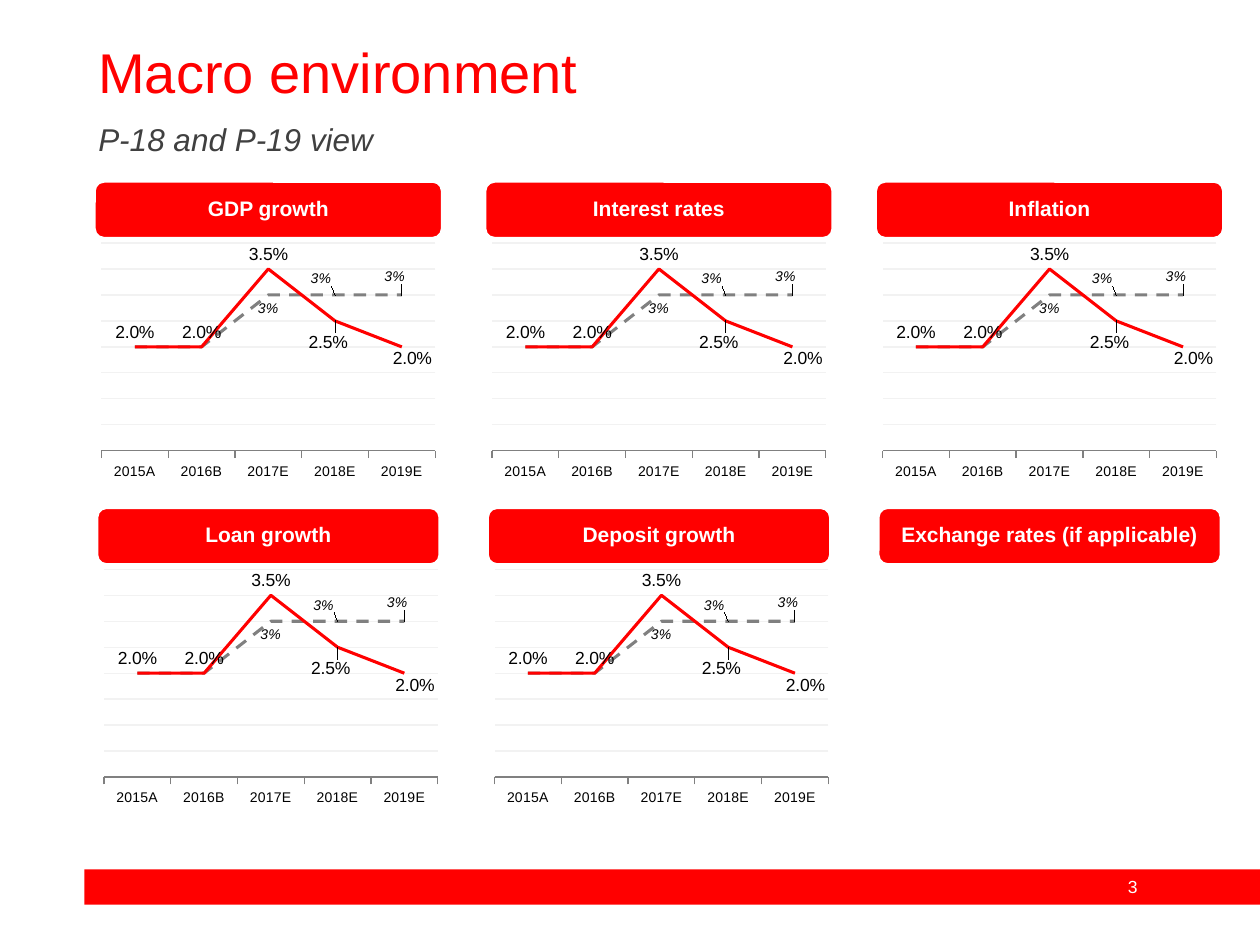
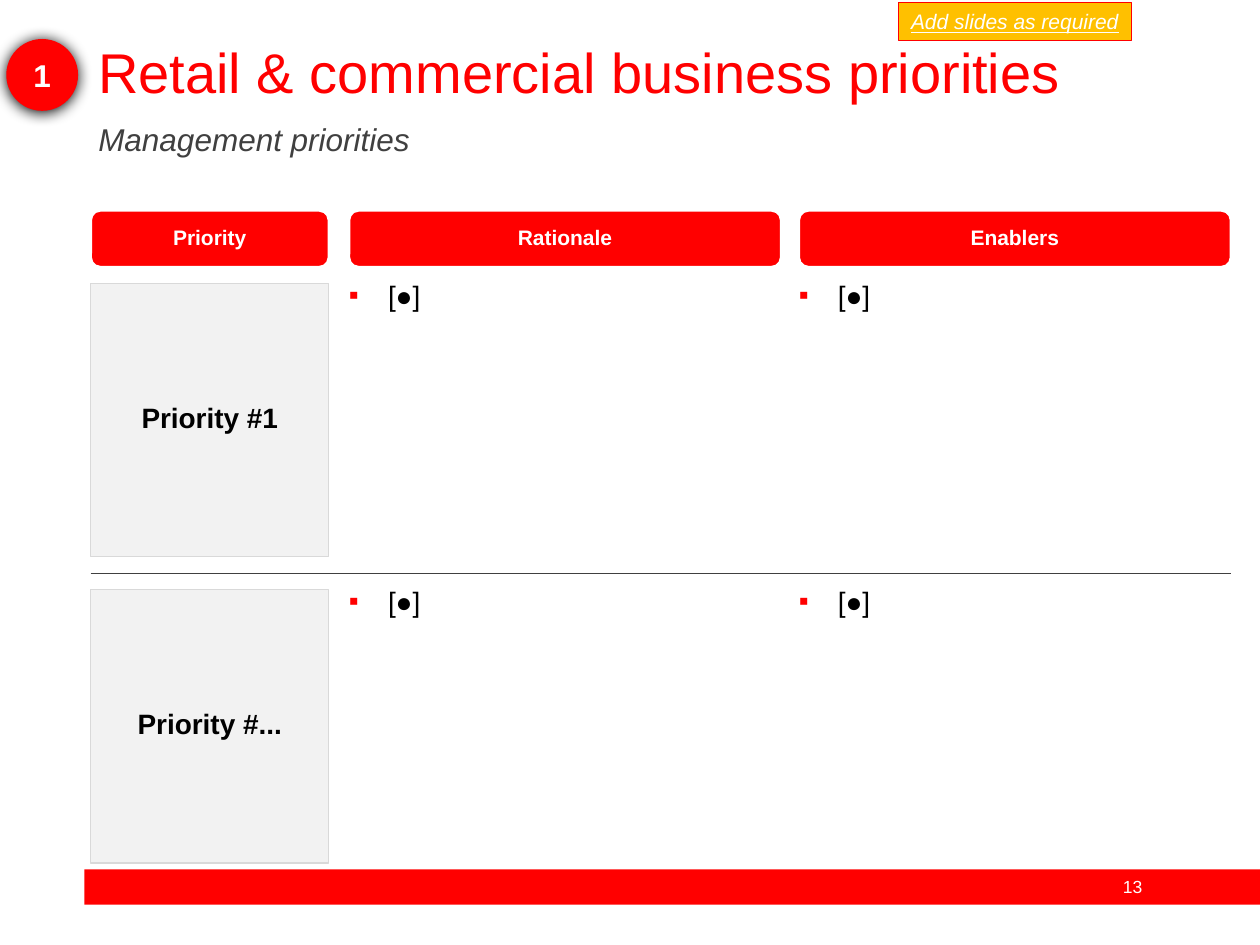
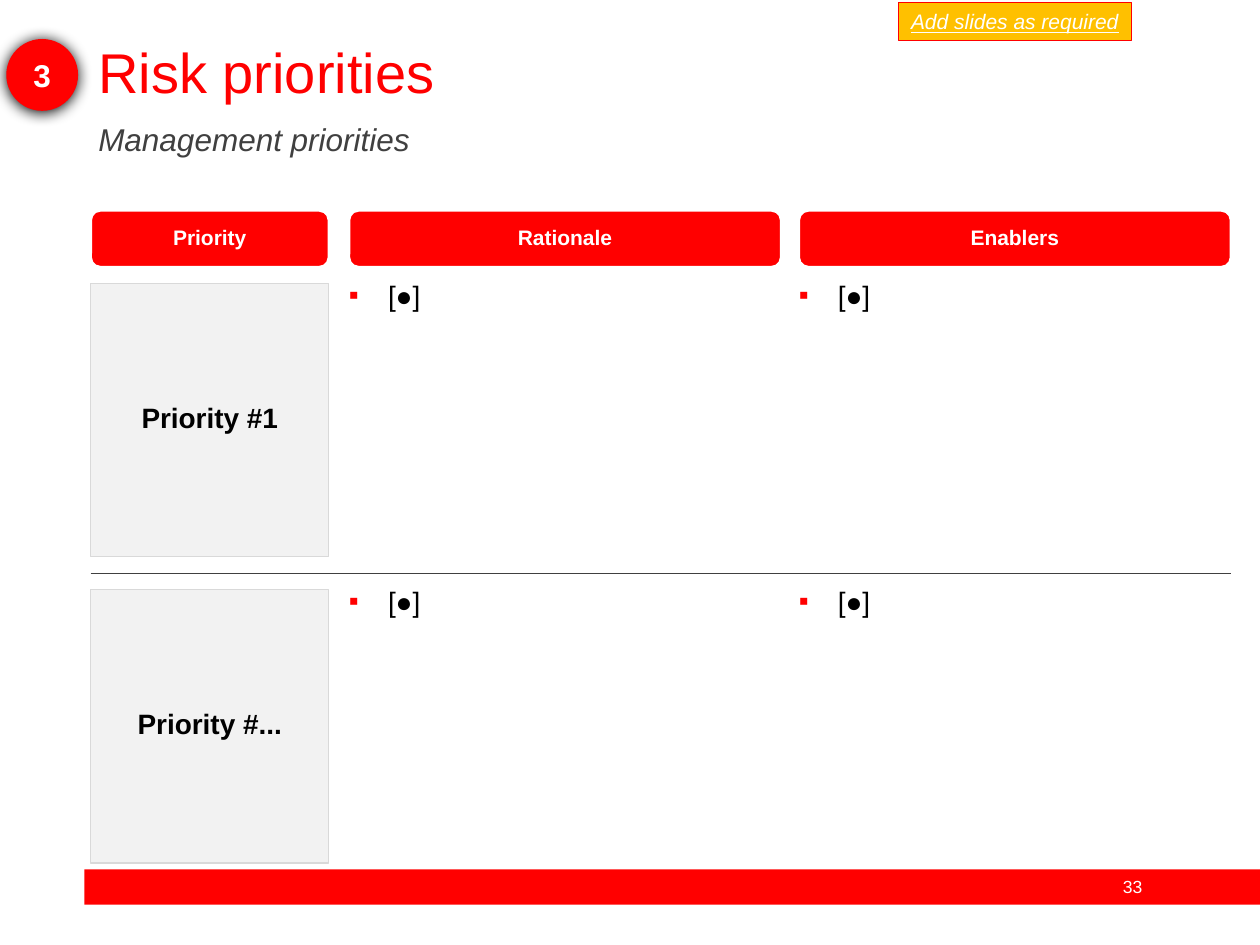
from copy import deepcopy
from dataclasses import dataclass

from lxml.etree import SubElement
from pptx import Presentation
from pptx.chart.data import CategoryChartData
from pptx.dml.color import RGBColor
from pptx.enum.chart import (
    XL_CHART_TYPE,
    XL_LABEL_POSITION,
    XL_MARKER_STYLE,
    XL_TICK_LABEL_POSITION,
    XL_TICK_MARK,
)
from pptx.enum.dml import MSO_LINE
from pptx.enum.shapes import MSO_CONNECTOR, MSO_SHAPE
from pptx.enum.text import MSO_ANCHOR, MSO_AUTO_SIZE, PP_ALIGN
from pptx.oxml.ns import qn
from pptx.util import Inches, Pt


@dataclass(frozen=True)
class Theme:
    font: str = "Arial"
    red: str = "FF0000"
    white: str = "FFFFFF"
    black: str = "000000"
    dark: str = "404040"
    grey: str = "808080"
    border: str = "D9D9D9"
    pale: str = "F2F2F2"
    amber: str = "FFC000"
    title_size: float = 32
    subtitle_size: float = 18
    card_size: float = 16
    header_size: float = 12
    label_size: float = 10
    small_size: float = 8
    thin: float = 0.75
    medium: float = 1.5


THEME = Theme()
HEADER_HEIGHT = 0.45
CARD_HEIGHT = 2.17
COLUMNS = [("Priority", 0.72, 1.89), ("Rationale", 2.77, 3.43), ("Enablers", 6.34, 3.43)]
YEARS = ["2015A", "2016B", "2017E", "2018E", "2019E"]
BASELINE = [0.02, 0.02, 0.03, 0.03, 0.03]
FORECAST = [0.02, 0.02, 0.035, 0.025, 0.02]
BASELINE_FORMAT = "0%"
FORECAST_FORMAT = '_(#,##0.0%_);\\(#,##0.0%\\);_("–"_)_%;_(@_'


def color(value):
    return RGBColor.from_string(value)


def lengths(*values):
    return [Inches(value) for value in values]


def add_element(parent, tag, **attributes):
    return SubElement(parent, qn(tag), attributes)


class Deck:
    def __init__(self, theme):
        self.theme = theme
        self.presentation = Presentation()
        self.presentation.slide_width = Inches(10)
        self.presentation.slide_height = Inches(7.5)
        self.slide = None

    def new_slide(self, title, subtitle, number):
        theme = self.theme
        self.slide = self.presentation.slides.add_slide(self.presentation.slide_layouts[1])
        self.heading(0, (0.68, 0.31, 8.62, 0.57), title, theme.title_size, theme.red)
        self.heading(1, (0.68, 0.94, 8.63, 0.41), subtitle, theme.subtitle_size, theme.dark, italic=True)
        self.box(MSO_SHAPE.RECTANGLE, (0.67, 6.9, 9.33, 0.28), theme.red)
        frame = self.slide.shapes.add_textbox(*lengths(8.71, 6.9, 0.56, 0.27)).text_frame
        frame.word_wrap = True
        self.add_text(frame, number, theme.label_size, theme.white, PP_ALIGN.CENTER)

    def add_text(self, frame, text, size, text_color, align=PP_ALIGN.LEFT, spacing=None, **style):
        paragraph = frame.paragraphs[0]
        paragraph.alignment = align
        if spacing:
            paragraph.line_spacing = spacing
        run = paragraph.add_run()
        run.text = text
        self.style_font(run.font, size, text_color, **style)

    def style_font(self, font, size, text_color, bold=False, italic=False, underline=False):
        font.name = self.theme.font
        font.size = Pt(size)
        font.color.rgb = color(text_color)
        font.bold = bold
        font.italic = italic
        font.underline = underline

    def style_line(self, line, line_color, width):
        line.color.rgb = color(line_color)
        line.width = Pt(width)

    def no_margins(self, frame):
        frame.margin_left = frame.margin_top = frame.margin_right = frame.margin_bottom = 0

    def heading(self, index, area, text, size, text_color, italic=False):
        shape = self.slide.placeholders[index]
        shape.left, shape.top, shape.width, shape.height = lengths(*area)
        frame = shape.text_frame
        frame.vertical_anchor = MSO_ANCHOR.TOP
        frame.auto_size = MSO_AUTO_SIZE.NONE
        properties = frame.paragraphs[0]._p.get_or_add_pPr()
        properties.set("marL", "0")
        properties.set("indent", "0")
        add_element(properties, "a:buNone")
        frame.paragraphs[0].space_before = Pt(0)
        self.add_text(frame, text, size, text_color, spacing=0.9, italic=italic)

    def box(self, kind, area, fill, border=None, width=0.75):
        shape = self.slide.shapes.add_shape(kind, *lengths(*area))
        shape.shadow.inherit = False
        shape.fill.solid()
        shape.fill.fore_color.rgb = color(fill)
        if border:
            self.style_line(shape.line, border, width)
        else:
            shape.line.fill.background()
        shape.text_frame.vertical_anchor = MSO_ANCHOR.MIDDLE
        return shape

    def header(self, text, left, top, width):
        theme = self.theme
        area = (left, top, width, HEADER_HEIGHT)
        frame = self.box(MSO_SHAPE.ROUNDED_RECTANGLE, area, theme.red, theme.white, theme.medium).text_frame
        self.no_margins(frame)
        self.add_text(frame, text, theme.header_size, theme.white, PP_ALIGN.CENTER, 0.85, bold=True)

    def card(self, text, left, top, width):
        theme = self.theme
        area = (left, top, width, CARD_HEIGHT)
        frame = self.box(MSO_SHAPE.RECTANGLE, area, theme.pale, theme.border, theme.thin).text_frame
        self.no_margins(frame)
        self.add_text(frame, text, theme.card_size, theme.black, PP_ALIGN.CENTER, 0.85, bold=True)

    def bullet(self, text, left, top, width):
        theme = self.theme
        frame = self.slide.shapes.add_textbox(*lengths(left, top, width, CARD_HEIGHT)).text_frame
        frame.word_wrap = True
        self.no_margins(frame)
        properties = frame.paragraphs[0]._p.get_or_add_pPr()
        properties.set("marL", str(Inches(0.31)))
        properties.set("indent", str(-Inches(0.31)))
        add_element(add_element(properties, "a:buClr"), "a:srgbClr", val=theme.red)
        add_element(properties, "a:buFont", typeface=theme.font)
        add_element(properties, "a:buChar", char="▪")
        self.add_text(frame, text, theme.card_size, theme.black, spacing=0.85)

    def separator(self, left, right, top):
        ends = lengths(left, top, right, top)
        connector = self.slide.shapes.add_connector(MSO_CONNECTOR.STRAIGHT, *ends)
        self.style_line(connector.line, self.theme.dark, self.theme.thin)
        add_element(connector._element.spPr, "a:effectLst")

    def badge(self, number):
        theme = self.theme
        shape = self.box(MSO_SHAPE.OVAL, (0.05, 0.31, 0.57, 0.57), theme.red)
        effects = shape._element.spPr.find(qn("a:effectLst"))
        shadow = add_element(
            effects, "a:outerShdw", blurRad=str(Pt(8.5)), dist=str(Pt(1)),
            dir="5400000", algn="ctr", rotWithShape="0",
        )
        add_element(shadow, "a:srgbClr", val=theme.black)
        self.add_text(shape.text_frame, number, theme.subtitle_size, theme.white, PP_ALIGN.CENTER, bold=True)

    def tag(self, text):
        theme = self.theme
        shape = self.box(MSO_SHAPE.RECTANGLE, (7.13, 0.02, 1.85, 0.3), theme.amber, theme.red)
        shape.text_frame.word_wrap = False
        self.add_text(
            shape.text_frame, text, theme.header_size, theme.white, PP_ALIGN.CENTER,
            italic=True, underline=True,
        )

    def line_chart(self, left, top):
        theme = self.theme
        data = CategoryChartData()
        data.categories = YEARS
        data.add_series("Series 1", BASELINE, BASELINE_FORMAT)
        data.add_series("Series 2", FORECAST, FORECAST_FORMAT)
        area = lengths(left, top, 2.76, 1.94)
        chart = self.slide.shapes.add_chart(XL_CHART_TYPE.LINE, *area, data).chart
        chart.has_legend = False
        chart.has_title = False
        self.style_font(chart.font, theme.label_size, theme.black)
        self.style_axes(chart)
        plot_area = chart._chartSpace.chart.plotArea
        for layout in plot_area.findall(qn("c:layout")):
            plot_area.remove(layout)
        plot_area.insert(0, self.layout(plot_area, x=0.02, y=0.02, w=0.96, h=0.85))
        baseline, forecast = chart.plots[0].series
        self.style_series(baseline, theme.grey)
        baseline.format.line.dash_style = MSO_LINE.DASH
        self.style_series(forecast, theme.red)
        self.label_series(
            baseline, BASELINE_FORMAT, XL_LABEL_POSITION.BELOW, theme.small_size, True,
            {0: None, 1: None, 3: (-0.04, -0.12), 4: (-0.02, -0.13)},
        )
        self.label_series(
            forecast, FORECAST_FORMAT, XL_LABEL_POSITION.ABOVE, theme.label_size, False,
            {3: (-0.02, 0.15), 4: (0.03, 0.11)},
        )

    def layout(self, parent, **fractions):
        layout = add_element(parent, "c:layout")
        manual = add_element(layout, "c:manualLayout")
        if "w" in fractions:
            add_element(manual, "c:layoutTarget", val="inner")
            add_element(manual, "c:xMode", val="edge")
            add_element(manual, "c:yMode", val="edge")
        for name, fraction in fractions.items():
            add_element(manual, f"c:{name}", val=str(fraction))
        return layout

    def style_axes(self, chart):
        theme = self.theme
        category_axis = chart.category_axis
        category_axis.major_tick_mark = XL_TICK_MARK.OUTSIDE
        category_axis.has_major_gridlines = False
        self.style_font(category_axis.tick_labels.font, theme.small_size, theme.black)
        self.style_line(category_axis.format.line, theme.grey, theme.thin)
        value_axis = chart.value_axis
        value_axis.minimum_scale = 0
        value_axis.maximum_scale = 0.04
        value_axis.major_unit = 0.005
        value_axis.major_tick_mark = XL_TICK_MARK.NONE
        value_axis.tick_label_position = XL_TICK_LABEL_POSITION.NONE
        value_axis.tick_labels.number_format = BASELINE_FORMAT
        value_axis.tick_labels.number_format_is_linked = False
        value_axis.format.line.fill.background()
        self.style_line(value_axis.major_gridlines.format.line, theme.pale, theme.thin)

    def style_series(self, series, line_color):
        series.smooth = False
        series.marker.style = XL_MARKER_STYLE.NONE
        self.style_line(series.format.line, line_color, 1.75)

    def label_series(self, series, number_format, position, size, italic, offsets):
        labels = series.data_labels
        labels.show_value = True
        labels.number_format = number_format
        labels.number_format_is_linked = False
        labels.position = position
        self.style_font(labels.font, size, self.theme.black, italic=italic)
        parent = labels._element
        shared = [child for child in parent if child.tag != qn("c:showLeaderLines")]
        for order, (index, offset) in enumerate(offsets.items()):
            label = add_element(parent, "c:dLbl")
            add_element(label, "c:idx", val=str(index))
            if offset:
                self.layout(label, x=offset[0], y=offset[1])
                label.extend(deepcopy(child) for child in shared)
            else:
                add_element(label, "c:delete", val="1")
            parent.insert(order, label)


def macro_slide(deck):
    deck.new_slide("Macro environment", "P-18 and P-19 view", "3")
    rows = [
        (0.75, 1.44, 2.76, ["GDP growth", "Interest rates", "Inflation"], 3),
        (0.77, 4.03, 2.72, ["Loan growth", "Deposit growth", "Exchange rates (if applicable)"], 2),
    ]
    for first_left, top, width, titles, chart_count in rows:
        for column, title in enumerate(titles):
            left = first_left + 3.1 * column
            deck.header(title, left, top, width)
            if column < chart_count:
                deck.line_chart(left, top + HEADER_HEIGHT)


def priorities_slide(deck, title, badge, number):
    deck.new_slide(title, "Management priorities", number)
    for text, left, width in COLUMNS:
        deck.header(text, left, 1.67, width)
    (_, card_left, card_width), *bullet_columns = COLUMNS
    for row, priority in enumerate(["Priority #1", "Priority #..."]):
        top = 2.25 + 2.43 * row
        deck.card(priority, card_left, top, card_width)
        for _, left, width in bullet_columns:
            deck.bullet("[●]", left, top, width)
    deck.separator(card_left, 9.77, 4.55)
    deck.badge(badge)
    deck.tag("Add slides as required")


def main():
    deck = Deck(THEME)
    macro_slide(deck)
    priorities_slide(deck, "Retail & commercial business priorities", "1", "13")
    priorities_slide(deck, "Risk priorities", "3", "33")
    deck.presentation.save("out.pptx")


if __name__ == "__main__":
    main()
